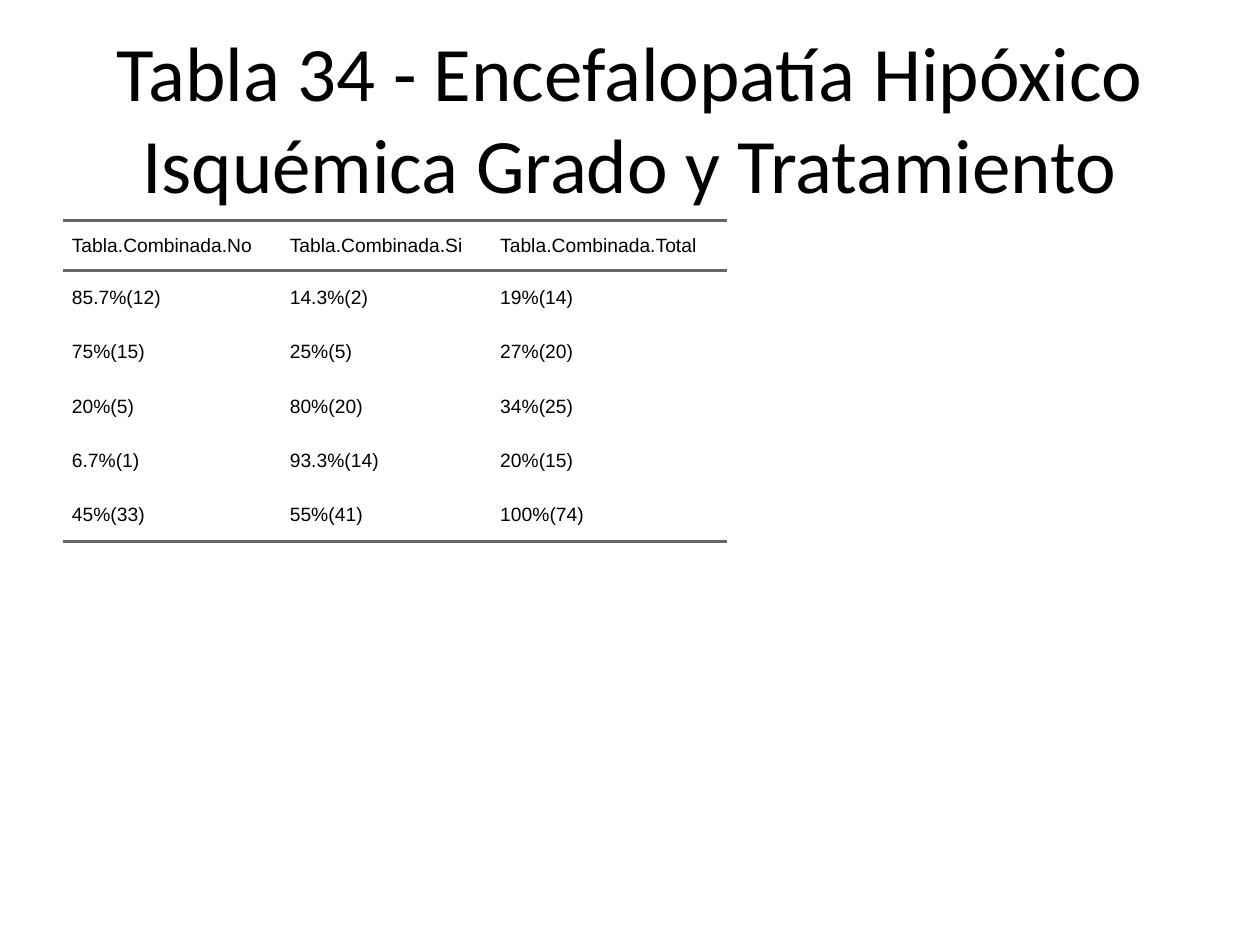
from lxml.etree import SubElement
from pptx import Presentation
from pptx.dml.color import RGBColor
from pptx.enum.text import MSO_ANCHOR, MSO_AUTO_SIZE, PP_ALIGN
from pptx.oxml import parse_xml
from pptx.oxml.ns import nsdecls, qn
from pptx.util import Inches, Pt

COLORS = {"text": "000000", "rule": "666666"}
PLAIN_STYLE = "{2D5ABB26-0587-4C30-8999-92F81FD0307C}"
WIDTH, HEIGHT = Inches(10), Inches(7.5)
COLUMN_WIDTHS = (1.73, 1.67, 1.87)
HEADER_HEIGHT, ROW_HEIGHT = 0.4, 0.43
ROWS = [
    ("Tabla.Combinada.No", "Tabla.Combinada.Si", "Tabla.Combinada.Total"),
    ("85.7%(12)", "14.3%(2)", "19%(14)"),
    ("75%(15)", "25%(5)", "27%(20)"),
    ("20%(5)", "80%(20)", "34%(25)"),
    ("6.7%(1)", "93.3%(14)", "20%(15)"),
    ("45%(33)", "55%(41)", "100%(74)"),
]


def style_text(paragraph, font_name, size):
    paragraph.font.name = font_name
    paragraph.font.size = Pt(size)
    paragraph.font.bold = False
    paragraph.font.color.rgb = RGBColor.from_string(COLORS["text"])


def add_title(slide, words):
    title = slide.shapes.title
    title.left, title.top = int(WIDTH * 0.05), int(HEIGHT * 0.04)
    title.width, title.height = int(WIDTH * 0.9), Inches(1.25)
    frame = title.text_frame
    frame.text = words
    frame.word_wrap = True
    frame.auto_size = MSO_AUTO_SIZE.NONE
    frame.vertical_anchor = MSO_ANCHOR.MIDDLE
    heading = frame.paragraphs[0]
    heading.alignment = PP_ALIGN.CENTER
    style_text(heading, "Calibri", 44)


def draw_rules(cell, sides):
    properties = cell._tc.get_or_add_tcPr()
    for position, side in enumerate(sides):
        rule = parse_xml(f'<a:ln{side} {nsdecls("a")} w="{Pt(2)}"/>')
        fill = SubElement(rule, qn("a:solidFill"))
        SubElement(fill, qn("a:srgbClr"), val=COLORS["rule"])
        properties.insert(position, rule)


def fill_cell(cell, words, sides):
    cell.text = words
    cell.fill.background()
    cell.vertical_anchor = MSO_ANCHOR.MIDDLE
    cell.margin_left = cell.margin_right = cell.margin_top = cell.margin_bottom = 0
    entry = cell.text_frame.paragraphs[0]
    entry._p.get_or_add_pPr().set("marL", str(Inches(0.07)))
    entry._p.get_or_add_pPr().set("indent", "0")
    style_text(entry, "Arial", 11)
    draw_rules(cell, sides)


def add_results(slide):
    last = len(ROWS) - 1
    height = HEADER_HEIGHT + ROW_HEIGHT * last
    results = slide.shapes.add_table(
        len(ROWS), len(COLUMN_WIDTHS), int(WIDTH * 0.05), Inches(1.75),
        Inches(sum(COLUMN_WIDTHS)), Inches(height)).table
    results.first_row = results.horz_banding = False
    results._tbl.tblPr.find(qn("a:tableStyleId")).text = PLAIN_STYLE
    for column, width in zip(results.columns, COLUMN_WIDTHS):
        column.width = Inches(width)
    rules = {0: "TB", last: "B"}
    for index, values in enumerate(ROWS):
        results.rows[index].height = Inches(ROW_HEIGHT if index else HEADER_HEIGHT)
        for cell, words in zip(results.rows[index].cells, values):
            fill_cell(cell, words, rules.get(index, ""))


def main():
    deck = Presentation()
    deck.slide_width, deck.slide_height = WIDTH, HEIGHT
    slide = deck.slides.add_slide(deck.slide_layouts[5])
    add_title(slide, "Tabla 34 - Encefalopatía Hipóxico Isquémica Grado y Tratamiento")
    add_results(slide)
    deck.save("out.pptx")


if __name__ == "__main__":
    main()
